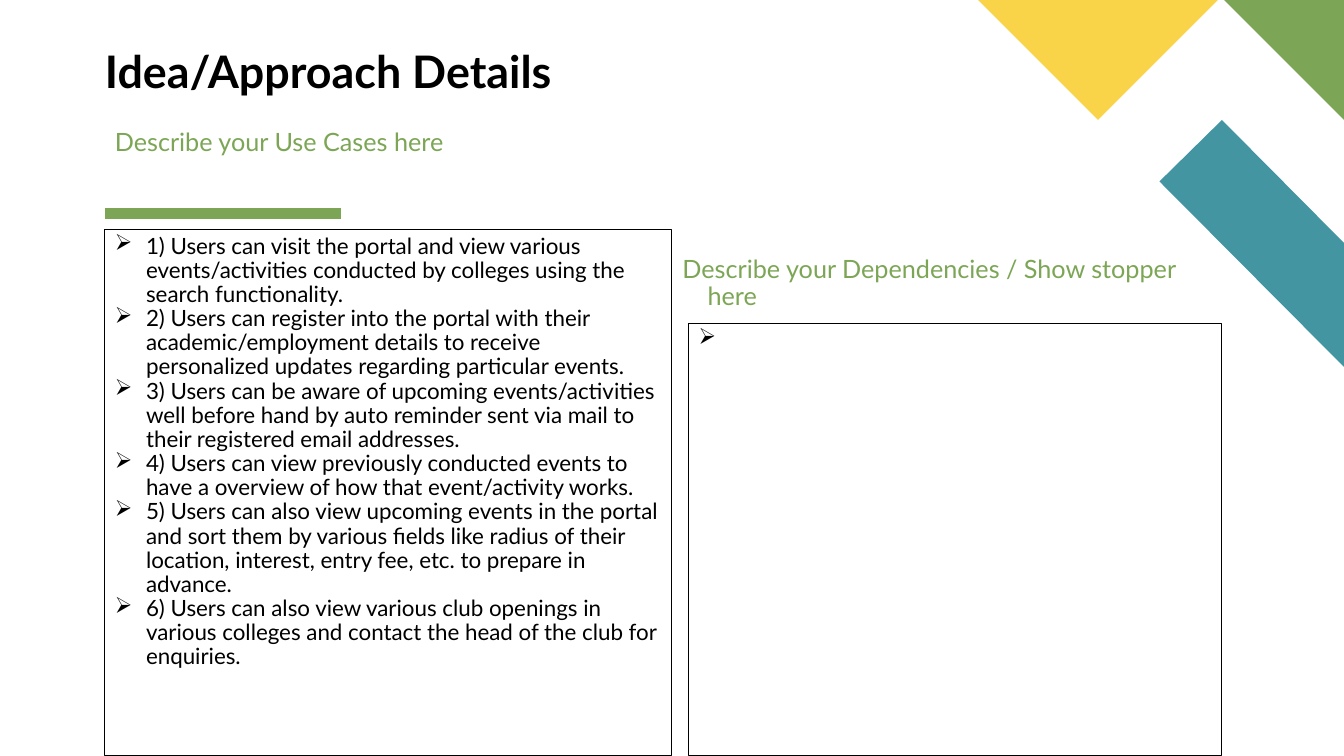
from lxml.etree import SubElement
from pptx import Presentation
from pptx.dml.color import RGBColor
from pptx.enum.shapes import MSO_CONNECTOR as Connector, MSO_SHAPE as Shape
from pptx.enum.text import MSO_ANCHOR as Anchor, PP_ALIGN as Align
from pptx.oxml.ns import qn
from pptx.util import Inches, Pt

WIDTH, HEIGHT = 13.33, 7.5
LEFT, RIGHT = 1.04, 6.83
BAND = 1.19
FONT, BLACK, GREEN = "Lato", "000000", "7CA655"
BULLET_FONT, ARROW_BULLET = "Wingdings", "Ø"

TITLE = "Idea/Approach Details"
HEADINGS = [
    ("Describe your Use Cases here", (LEFT, 1.24, 5.29, 0.35)),
    ("Describe your Dependencies / Show stopper here", (6.67, 2.5, 5.62, 0.35)),
]
USE_CASES = [
    "1) Users can visit the portal and view various events/activities conducted by colleges using the search functionality.",
    "2) Users can register into the portal with their academic/employment details to receive personalized updates regarding particular events.",
    "3) Users can be aware of upcoming events/activities well before hand by auto reminder sent via mail to their registered email addresses.",
    "4) Users can view previously conducted events to have a overview of how that event/activity works.",
    "5) Users can also view upcoming events in the portal and sort them by various fields like radius of their location, interest, entry fee, etc. to prepare in advance.",
    "6) Users can also view various club openings in various colleges and contact the head of the club for enquiries.",
]
DEPENDENCIES = [" "]
BOXES = [(USE_CASES, LEFT, 2.28, 5.62), (DEPENDENCIES, RIGHT, 3.21, 5.29)]
CORNER_PIECES = [
    ("4495A2", [(WIDTH, 3.64), (WIDTH, 2.41), (12.12, BAND), (11.5, 1.8)]),
    (GREEN, [(WIDTH, BAND), (WIDTH, 0), (WIDTH - BAND, 0)]),
    ("F9D448", [(9.7, 0), (9.7 + BAND, BAND), (9.7 + 2 * BAND, 0)]),
]


def color(value):
    return RGBColor.from_string(value)


def add_paragraph(frame, index, text, size, ink, bold=False, indent=0, bullet=None):
    paragraph = frame.paragraphs[0] if index == 0 else frame.add_paragraph()
    paragraph.alignment = Align.LEFT
    paragraph.line_spacing = 0.9
    properties = paragraph._p.get_or_add_pPr()
    properties.set("marL", str(Inches(indent)))
    properties.set("indent", str(-Inches(indent)))
    if bullet:
        bullet_color = SubElement(properties, qn("a:buClr"))
        SubElement(bullet_color, qn("a:srgbClr"), val=ink)
        SubElement(properties, qn("a:buFont"), typeface=BULLET_FONT, charset="2")
        SubElement(properties, qn("a:buChar"), char=bullet)
    run = paragraph.add_run()
    run.text = text
    run.font.name = FONT
    run.font.size = Pt(size)
    run.font.bold = bold
    run.font.color.rgb = color(ink)


def add_text(slide, place, text, size, ink, **style):
    frame = slide.shapes.add_textbox(*map(Inches, place)).text_frame
    frame.word_wrap = True
    add_paragraph(frame, 0, text, size, ink, **style)
    return frame


def add_corner_piece(slide, fill, points):
    start, *others = [(Inches(x), Inches(y)) for x, y in points]
    builder = slide.shapes.build_freeform(*start)
    builder.add_line_segments(others, close=True)
    shape = builder.convert_to_shape()
    shape.shadow.inherit = False
    shape.fill.solid()
    shape.fill.fore_color.rgb = color(fill)
    shape.line.fill.background()


def add_bullet_box(slide, items, left, top, width):
    place = map(Inches, (left, top, width, HEIGHT - top))
    shape = slide.shapes.add_shape(Shape.RECTANGLE, *place)
    shape.shadow.inherit = False
    shape.fill.background()
    shape.line.color.rgb = color(BLACK)
    shape.line.width = Pt(0.75)
    frame = shape.text_frame
    frame.word_wrap = True
    frame.vertical_anchor = Anchor.TOP
    for index, item in enumerate(items):
        add_paragraph(frame, index, item, 16, BLACK, indent=0.31, bullet=ARROW_BULLET)


def add_accent_line(slide):
    ends = map(Inches, (LEFT, 2.12, 3.38, 2.12))
    line = slide.shapes.add_connector(Connector.STRAIGHT, *ends)
    line.line.color.rgb = color(GREEN)
    line.line.width = Pt(8)
    SubElement(line._element.spPr, qn("a:effectLst"))


def main():
    presentation = Presentation()
    presentation.slide_width = Inches(WIDTH)
    presentation.slide_height = Inches(HEIGHT)
    slide = presentation.slides.add_slide(presentation.slide_layouts[6])
    add_accent_line(slide)
    for fill, points in CORNER_PIECES:
        add_corner_piece(slide, fill, points)
    title = add_text(slide, (LEFT, 0.3, 6.32, 0.67), TITLE, 32, BLACK, bold=True)
    title.vertical_anchor = Anchor.BOTTOM
    title.margin_left = title.margin_right = title.margin_top = title.margin_bottom = 0
    for text, place in HEADINGS:
        add_text(slide, place, text, 18, GREEN, indent=0.25)
    for box in BOXES:
        add_bullet_box(slide, *box)
    presentation.save("out.pptx")


if __name__ == "__main__":
    main()
